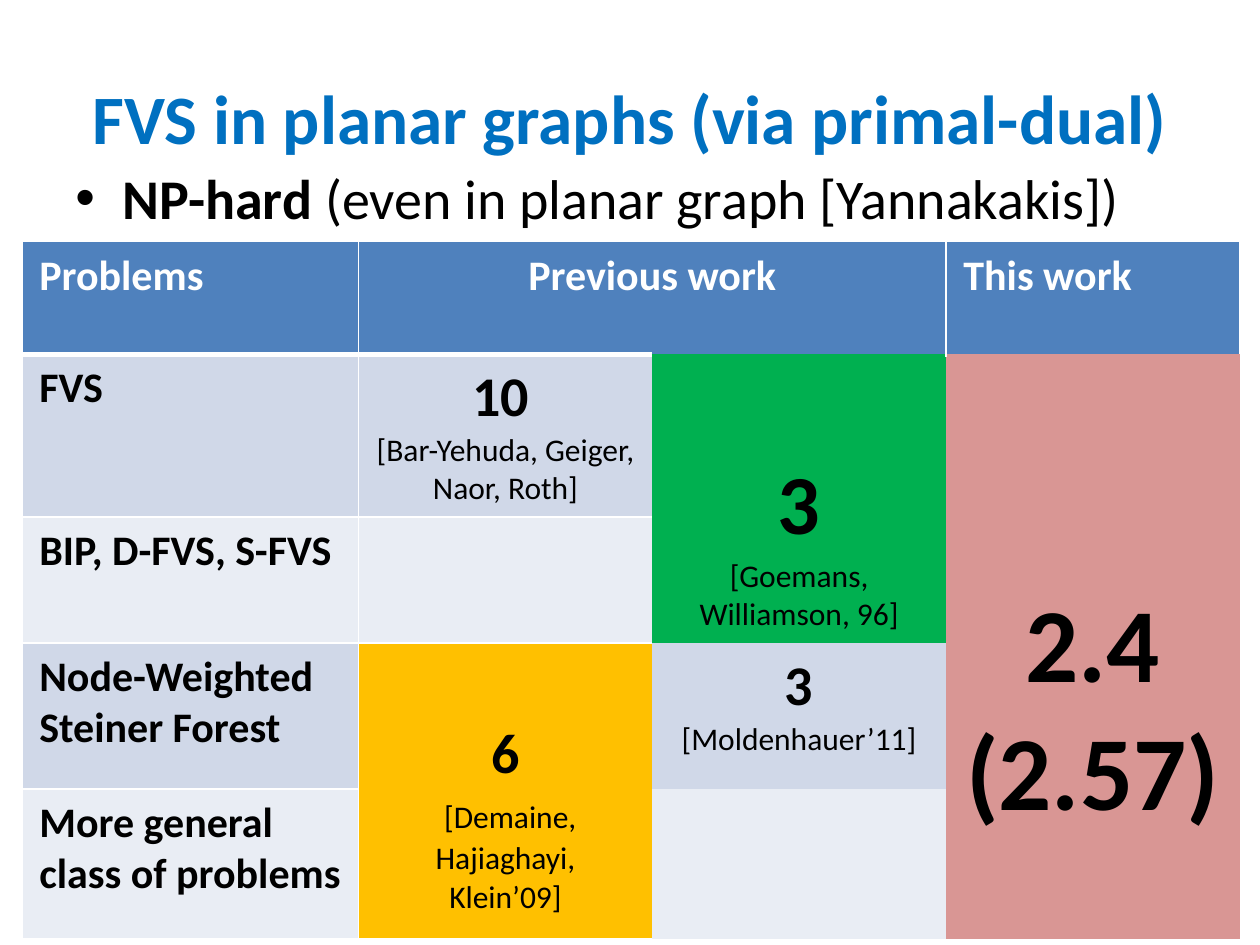
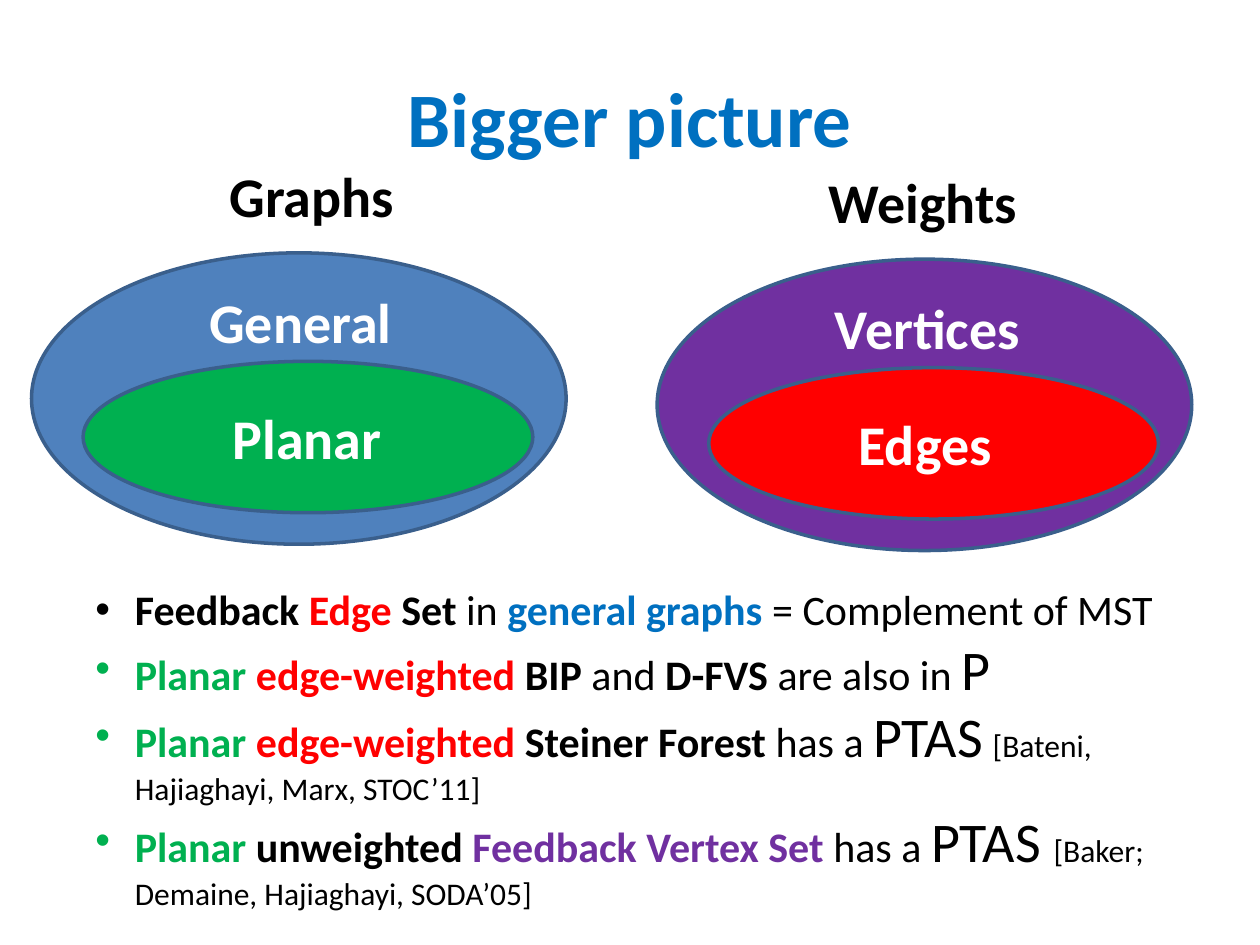
"""Builds two slides on feedback vertex set: a table of ratios and the bigger picture."""
import pptx
import pptx.util
import pptx.dml.color
import pptx.enum.shapes
import pptx.enum.text
import pptx.oxml.ns
import lxml.etree

Pt = pptx.util.Pt
RGB = pptx.dml.color.RGBColor.from_string
LEFT = pptx.enum.text.PP_ALIGN.LEFT
MID = pptx.enum.text.PP_ALIGN.CENTER
OVAL = pptx.enum.shapes.MSO_SHAPE.OVAL
HUES = {
    "white": "FFFFFF", "black": "000000", "title": "0070C0", "blue": "4F81BD",
    "pale": "D0D8E8", "faint": "E9EDF4", "green": "00B050", "amber": "FFC000",
    "rose": "D99694", "red": "FF0000", "plum": "7030A0", "rim": "3A5F8C",
}


def write(frame, paras, align=LEFT, indent=0):
    """Fill a frame with paragraphs of (text, size, hue, bold) runs."""
    frame.word_wrap = True
    for num, runs in enumerate(paras):
        para = frame.paragraphs[0] if num == 0 else frame.add_paragraph()
        para.alignment = align
        if indent:
            props = para._p.get_or_add_pPr()
            props.set("marL", str(Pt(indent)))
            props.set("indent", str(-Pt(indent)))
            for tag, key, val in (("a:buFont", "typeface", "Arial"), ("a:buChar", "char", "•")):
                lxml.etree.SubElement(props, pptx.oxml.ns.qn(tag)).set(key, val)
        for text, size, hue, bold in runs:
            run = para.add_run()
            run.text = text
            for key, val in {"name": "Calibri", "size": Pt(size), "bold": bold}.items():
                setattr(run.font, key, val)
            run.font.color.rgb = RGB(HUES[hue])


def label(shapes, box, paras, align=LEFT, indent=0):
    """Add a text box and return its frame."""
    frame = shapes.add_textbox(*map(Pt, box)).text_frame
    write(frame, paras, align, indent)
    return frame


deck = pptx.Presentation()
deck.slide_width, deck.slide_height = Pt(720), Pt(540)
slides = []
for text, size in (("FVS in planar graphs (via primal-dual)", 39.6), ("Bigger picture", 44)):
    slide = deck.slides.add_slide(deck.slide_layouts[6])
    title = label(slide.shapes, (36, 21.6, 648, 90), [[(text, size, "title", True)]], MID)
    title.vertical_anchor = pptx.enum.text.MSO_ANCHOR.MIDDLE
    slides.append(slide)
first, second = slides

label(first.shapes, (36, 90, 648, 60), [[
    ("NP-hard", 32, "black", True),
    (" (even in planar graph [Yannakakis])", 32, "black", False),
]], indent=27)

widths = [192.5, 167.8, 167.8, 167.8]
heights = [64.5, 93, 72, 83.5, 85.5]
table = first.shapes.add_table(
    5, 4, Pt(12.5), Pt(138), Pt(sum(widths)), Pt(sum(heights))).table
for col, width in zip(table.columns, widths):
    col.width = Pt(width)
for row, height in zip(table.rows, heights):
    row.height = Pt(height)

spans = {(0, 1): (0, 2), (1, 2): (2, 2), (1, 3): (4, 3), (3, 1): (4, 1)}
for start, end in spans.items():
    table.cell(*start).merge(table.cell(*end))
fills = [
    ["blue", "blue", "blue", "blue"],
    ["pale", "pale", "green", "rose"],
    ["faint", "faint", "green", "rose"],
    ["pale", "amber", "pale", "rose"],
    ["faint", "amber", "faint", "rose"],
]
heads = ["LRTB", "LTB", "RT", "LRT"]
sides = ["LRTB", "LTB", "", ""]
for row, hues in enumerate(fills):
    for col, hue in enumerate(hues):
        cell = table.cell(row, col)
        props = cell._tc.get_or_add_tcPr()
        drawn = sides[col] if row else heads[col]
        for side in "LRTB":
            thick = (row, side) in ((0, "B"), (1, "T"))
            line = lxml.etree.SubElement(props, pptx.oxml.ns.qn("a:ln" + side))
            line.set("w", str(Pt(3 if thick else 1)))
            kind = "a:solidFill" if side in drawn else "a:noFill"
            fill = lxml.etree.SubElement(line, pptx.oxml.ns.qn(kind))
            if side in drawn:
                lxml.etree.SubElement(fill, pptx.oxml.ns.qn("a:srgbClr")).set("val", HUES["white"])
        cell.fill.solid()
        cell.fill.fore_color.rgb = RGB(HUES[hue])
        for key, val in {"left": 10, "right": 10, "top": 5, "bottom": 5}.items():
            setattr(cell, "margin_" + key, Pt(val))

names = ["Problems", "FVS", "BIP, D-FVS, S-FVS", "Node-Weighted Steiner Forest",
         "More general class of problems"]
for row, name in enumerate(names):
    hue = "black" if row else "white"
    write(table.cell(row, 0).text_frame, [[(name, 24, hue, True)]])
write(table.cell(0, 1).text_frame, [[("Previous work", 24, "white", True)]], MID)
write(table.cell(0, 3).text_frame, [[("This work", 24, "white", True)]])

ratios = [
    (1, 1, 5, [[("10", 32, "black", True), (" ", 24, "black", False)],
               [("[Bar-Yehuda, Geiger, Naor, Roth]", 18, "black", False)]]),
    (1, 2, 57.5, [[("3", 48, "black", True)],
                  [("[Goemans, Williamson, 96]", 18, "black", False)]]),
    (1, 3, 130.5, [[("2.4", 60, "black", True)], [("(2.57)", 60, "black", True)]]),
    (3, 1, 44, [[("6", 32, "black", True)],
                [(" ", 24, "black", False),
                 ("[Demaine, Hajiaghayi, Klein’09]", 18, "black", False)]]),
    (3, 2, 5, [[("3 ", 32, "black", True), ("[Moldenhauer’11]", 18, "black", False)]]),
]
for row, col, top, paras in ratios:
    cell = table.cell(row, col)
    cell.margin_top = Pt(top)
    write(cell.text_frame, paras, MID)

groups = [
    (0, 0, ("Graphs", 124, 110), ("General", "blue"), ("Planar", "green")),
    (357.5, 3.6, ("Weights", 109, 124), ("Vertices", "plum"), ("Edges", "red")),
]
for dx, dy, (head, left, width), (outer, back), (inner, front) in groups:
    shapes = second.shapes.add_group_shape().shapes
    ovals = [(18, 144.5, 305.5, 166.5, back), (47.5, 206.5, 257, 86.5, front)]
    for x, y, w, h, hue in ovals:
        oval = shapes.add_shape(OVAL, Pt(x + dx), Pt(y + dy), Pt(w), Pt(h))
        oval.shadow.inherit = False
        oval.fill.solid()
        oval.fill.fore_color.rgb = RGB(HUES[hue])
        oval.line.color.rgb = RGB(HUES["rim"])
        oval.line.width = Pt(2)
    words = [(outer, 112.5, 160.5, 126, "white"), (head, left, 88.5, width, "black"),
             (inner, 126, 227, 114, "white")]
    for text, x, y, w, hue in words:
        label(shapes, (x + dx, y + dy, w, 46), [[(text, 32, hue, True)]])

planar = ("Planar ", 24, "green", True)
edge = ("edge-weighted ", 24, "red", True)
label(second.shapes, (47.5, 330, 633.5, 196.5), [
    [("Feedback ", 24, "black", True), ("Edge ", 24, "red", True), ("Set", 24, "black", True),
     (" in ", 24, "black", False), ("general graphs ", 24, "title", True),
     ("= Complement of MST", 24, "black", False)],
    [planar, edge, ("BIP", 24, "black", True), (" and ", 24, "black", False),
     ("D-FVS", 24, "black", True), (" are also in ", 24, "black", False),
     ("P", 32, "black", False)],
    [planar, edge, ("Steiner Forest", 24, "black", True), (" has a ", 24, "black", False),
     ("PTAS", 32, "black", False), (" ", 24, "black", False),
     ("[Bateni, Hajiaghayi, Marx, STOC’11]", 18, "black", False)],
    [planar, ("unweighted ", 24, "black", True), ("Feedback Vertex Set ", 24, "plum", True),
     ("has a ", 24, "black", False), ("PTAS ", 32, "black", False),
     ("[Baker; Demaine, Hajiaghayi, SODA’05]", 18, "black", False)],
], indent=22.5)

deck.save("out.pptx")
